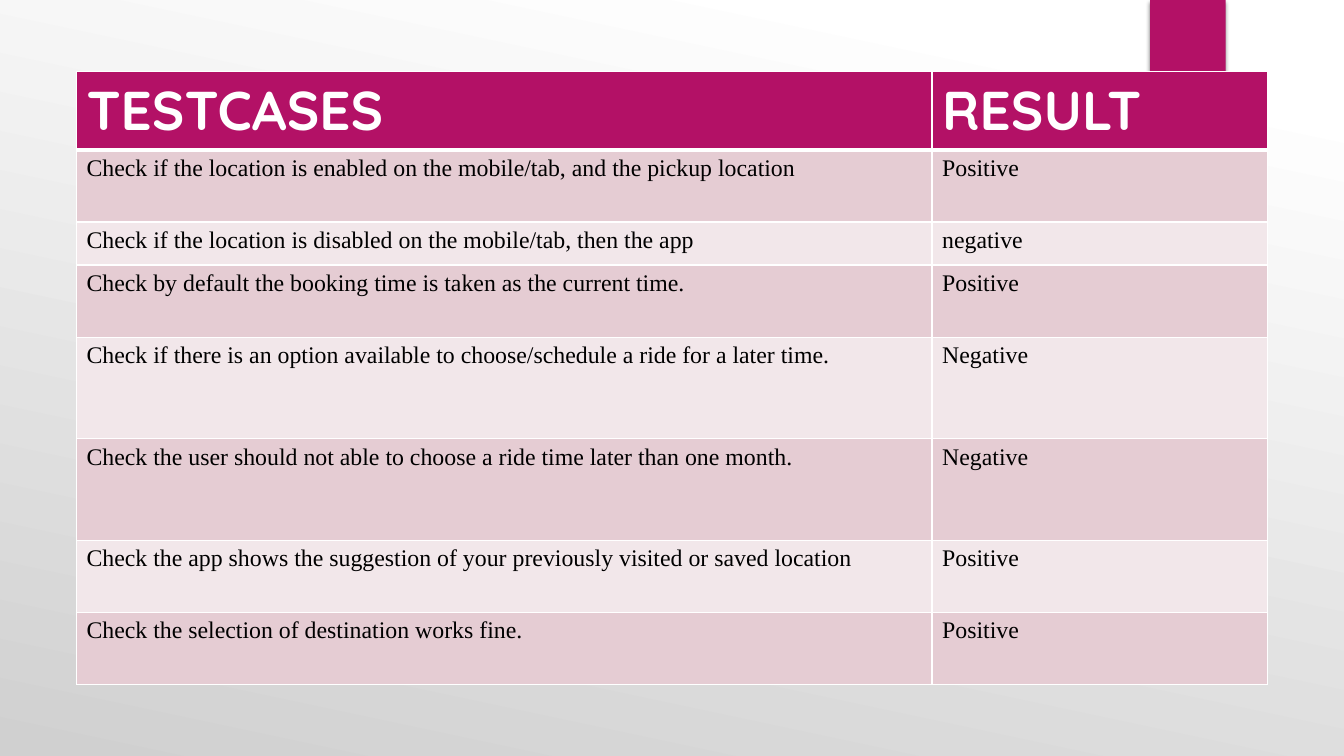
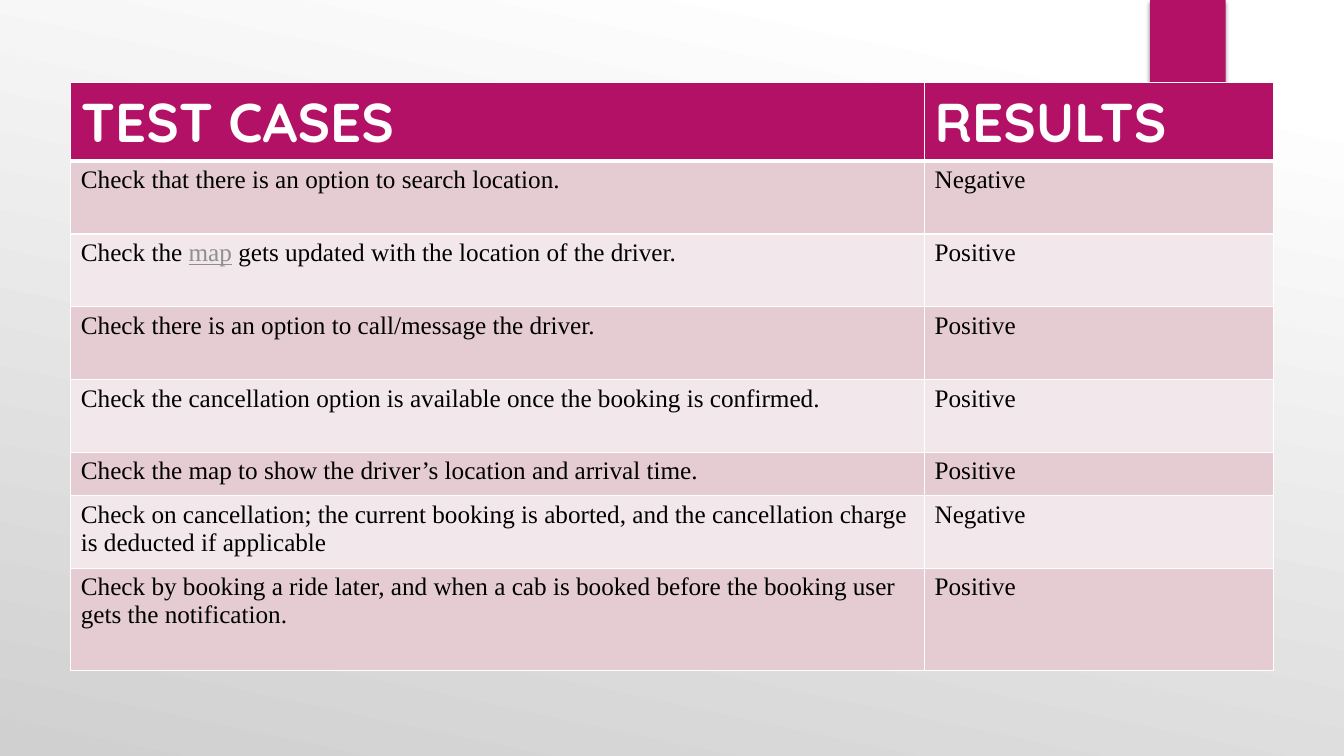
"""Build two slides of ride-booking test cases with their results."""
from lxml.etree import SubElement
from pptx import Presentation
from pptx.dml.color import RGBColor
from pptx.enum.shapes import MSO_SHAPE as Shape
from pptx.oxml import parse_xml
from pptx.oxml.ns import nsdecls, qn
from pptx.util import Pt

MAGENTA = RGBColor(0xB3, 0x11, 0x66)
ROSE = RGBColor(0xE5, 0xCC, 0xD3)
PALE_ROSE = RGBColor(0xF2, 0xE7, 0xEA)
WHITE = RGBColor(0xFF, 0xFF, 0xFF)
SILVER = RGBColor(0xD0, 0xD0, 0xD0)
BLACK = RGBColor(0x00, 0x00, 0x00)
LINK_GREY = RGBColor(0x8F, 0x8F, 0x8F)

HEADING = {"name": "Quicksand", "size": Pt(39), "bold": True}
BODY = {"name": "Times New Roman", "bold": False}
ROW_PADDING = 9.8
HEADER_HEIGHT = 56.2

# Each row: test case (a tuple alternates plain and linked words), result, lines of height
SLIDES = [
    {
        "left": 54.6, "top": 50.8, "columns": (611.2, 239.6),
        "size": 17, "line": 20.9,
        "header": ("TESTCASES", "RESULT"),
        "rows": [
            ("Check if the location is enabled on the mobile/tab, and the pickup location", "Positive", 2),
            ("Check if the location is disabled on the mobile/tab, then the app", "negative", 1),
            ("Check by default the booking time is taken as the current time.", "Positive", 2),
            ("Check if there is an option available to choose/schedule a ride for a later time.", "Negative", 3),
            ("Check the user should not able to choose a ride time later than one month.", "Negative", 3),
            ("Check the app shows the suggestion of your previously visited or saved location", "Positive", 2),
            ("Check the selection of destination works fine.", "Positive", 2),
        ],
    },
    {
        "left": 50.6, "top": 59, "columns": (609.8, 249),
        "size": 18, "line": 21.1,
        "header": ("TEST CASES", "RESULTS"),
        "rows": [
            ("Check that there is an option to search location.", "Negative", 2),
            (("Check the ", "map", " gets updated with the location of the driver."), "Positive", 2),
            ("Check there is an option to call/message the driver.", "Positive", 2),
            ("Check the cancellation option is available once the booking is confirmed.", "Positive", 2),
            ("Check the map to show the driver’s location and arrival time.", "Positive", 1),
            ("Check on cancellation; the current booking is aborted, and the cancellation charge "
             "is deducted if applicable", "Negative", 2),
            ("Check by booking a ride later, and when a cab is booked before the booking user "
             "gets the notification.", "Positive", 3),
        ],
    },
]


def set_background(master):
    """Give every slide the diagonal white-to-silver gradient."""
    fill = master.background.fill
    fill.gradient()
    fill.gradient_angle = 258
    for stop, position, color in zip(fill.gradient_stops, (0.1, 1), (WHITE, SILVER)):
        stop.position = position
        stop.color.rgb = color


def add_ribbon(slide):
    """Hang the magenta ribbon from the top edge."""
    ribbon = slide.shapes.add_shape(Shape.RECTANGLE, Pt(821.5), 0, Pt(54), Pt(90))
    ribbon.fill.solid()
    ribbon.fill.fore_color.rgb = MAGENTA
    ribbon.line.fill.background()
    ribbon.shadow.inherit = False
    effects = ribbon.element.spPr.find(qn("a:effectLst"))
    effects.append(parse_xml(
        f'<a:outerShdw {nsdecls("a")} blurRad="{Pt(3)}" dist="{Pt(2)}" dir="5400000" rotWithShape="0">'
        '<a:srgbClr val="000000"><a:alpha val="45000"/></a:srgbClr></a:outerShdw>'))


def set_borders(cell, top, bottom):
    """Draw white cell borders, with the given top and bottom widths."""
    properties = cell._tc.get_or_add_tcPr()
    for side, width in (("L", 1), ("R", 1), ("T", top), ("B", bottom)):
        border = SubElement(properties, qn(f"a:ln{side}"), w=str(Pt(width)))
        paint = SubElement(border, qn("a:solidFill"))
        SubElement(paint, qn("a:srgbClr"), val=str(WHITE))


def fill_cell(cell, content, font, color, background, top, bottom):
    """Write one cell, underlining each linked word."""
    set_borders(cell, top, bottom)
    cell.fill.solid()
    cell.fill.fore_color.rgb = background
    words = (content,) if isinstance(content, str) else content
    for index, phrase in enumerate(words):
        run = cell.text_frame.paragraphs[0].add_run()
        run.text = phrase
        linked = index % 2 == 1
        for key, value in {**font, "underline": linked}.items():
            setattr(run.font, key, value)
        run.font.color.rgb = LINK_GREY if linked else color


def add_test_table(slide, data):
    """Lay out the header and the banded test-case rows."""
    heights = [HEADER_HEIGHT] + [ROW_PADDING + data["line"] * lines for *_, lines in data["rows"]]
    table = slide.shapes.add_table(
        len(heights), len(data["columns"]), Pt(data["left"]), Pt(data["top"]),
        Pt(sum(data["columns"])), Pt(sum(heights))).table
    for column, width in zip(table.columns, data["columns"]):
        column.width = Pt(width)
    for row, height in zip(table.rows, heights):
        row.height = Pt(height)
    for cell, label in zip(table.rows[0].cells, data["header"]):
        fill_cell(cell, label, HEADING, WHITE, MAGENTA, 1, 3)
    body = {**BODY, "size": Pt(data["size"])}
    for number, (case, result, _) in enumerate(data["rows"], 1):
        band = ROSE if number % 2 else PALE_ROSE
        for cell, content in zip(table.rows[number].cells, (case, result)):
            fill_cell(cell, content, body, BLACK, band, 3 if number == 1 else 1, 1)


def main():
    """Build and save the presentation."""
    deck = Presentation()
    deck.slide_width, deck.slide_height = Pt(960), Pt(540)
    set_background(deck.slide_master)
    for data in SLIDES:
        slide = deck.slides.add_slide(deck.slide_layouts[6])
        add_ribbon(slide)
        add_test_table(slide, data)
    deck.save("out.pptx")


if __name__ == "__main__":
    main()
